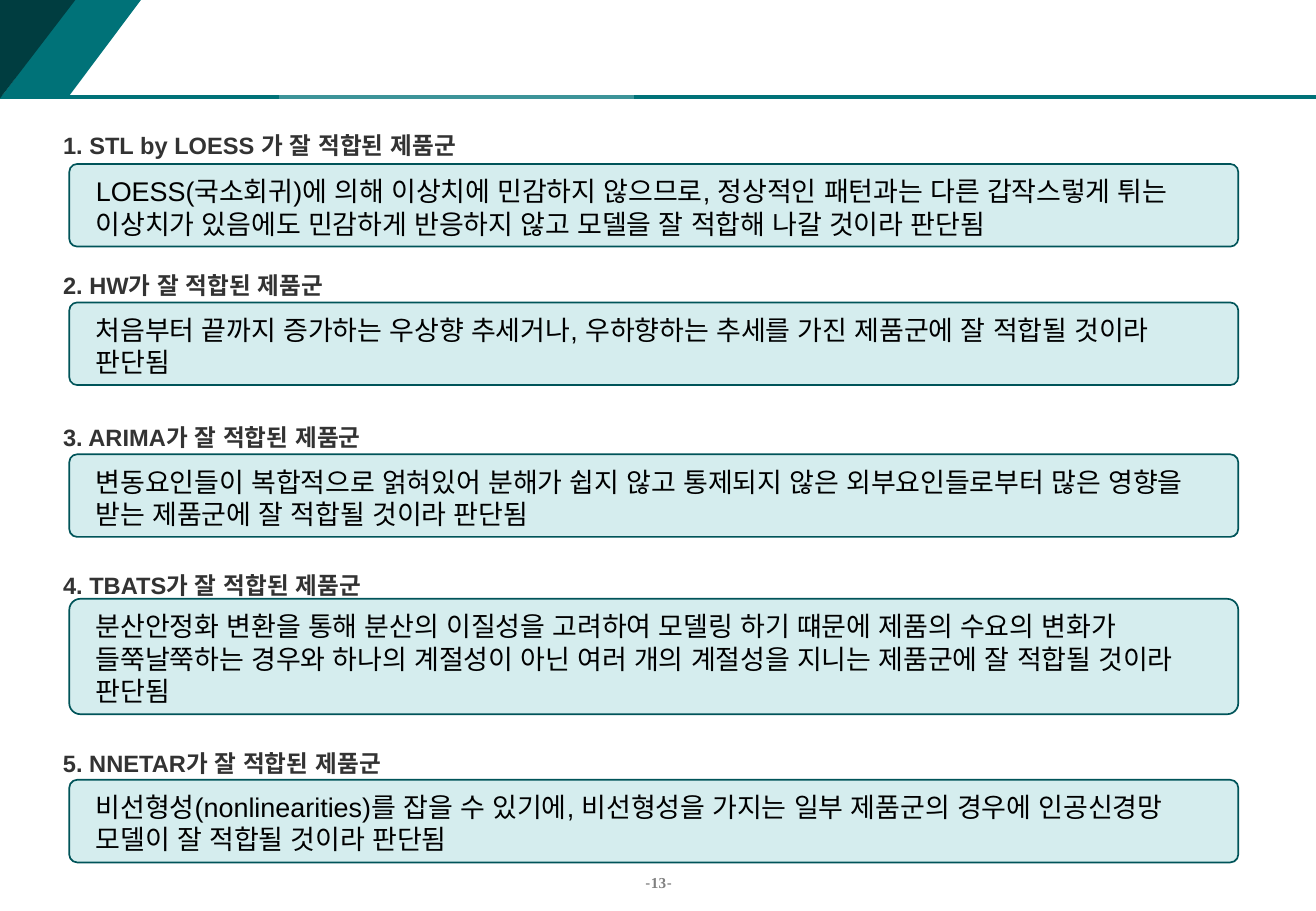
import pptx
import pptx.dml.color
import pptx.enum.lang
import pptx.enum.shapes
import pptx.enum.text
import pptx.oxml
import pptx.oxml.ns
import pptx.util
from pptx.util import Inches

SHAPES = pptx.enum.shapes.MSO_SHAPE
ALIGN = pptx.enum.text.PP_ALIGN


def color(hex_value):
    return pptx.dml.color.RGBColor.from_string(hex_value)


def add_text(left, top, width, height, runs, wrap=False, margins=(0.1, 0.05), align=ALIGN.LEFT):
    """Each run is (text, size, font, color, bold, letter spacing in points)."""
    box = slide.shapes.add_textbox(Inches(left), Inches(top), Inches(width), Inches(height))
    frame = box.text_frame
    frame.word_wrap = wrap
    frame.auto_size = pptx.enum.text.MSO_AUTO_SIZE.SHAPE_TO_FIT_TEXT
    frame.margin_left = frame.margin_right = Inches(margins[0])
    frame.margin_top = frame.margin_bottom = Inches(margins[1])
    paragraph = frame.paragraphs[0]
    paragraph.alignment = align
    for text, size, font, hex_value, bold, spacing in runs:
        run = paragraph.add_run()
        run.text = text
        run.font.size = pptx.util.Pt(size)
        run.font.name = font
        run.font.bold = bold
        run.font.color.rgb = color(hex_value)
        run.font.language_id = pptx.enum.lang.MSO_LANGUAGE_ID.KOREAN
        properties = run._r.get_or_add_rPr()
        properties.set("spc", str(int(spacing * 100)))
        # Korean characters take the East Asian typeface
        east_asian = pptx.oxml.parse_xml(
            f'<a:ea {pptx.oxml.ns.nsdecls("a")} typeface="{font}"/>')
        properties.find(pptx.oxml.ns.qn("a:latin")).addnext(east_asian)


presentation = pptx.Presentation()
presentation.slide_width = Inches(10.83)
presentation.slide_height = Inches(7.5)
slide = presentation.slides.add_slide(presentation.slide_layouts[6])

# Header: teal band, two-tone rule, dark corner
band = slide.shapes.add_shape(SHAPES.PARALLELOGRAM, 0, 0, Inches(1.16), Inches(0.81))
band.adjustments[0] = 0.748

for start, end, hex_value in [(0, 10.83, "007278"), (2.3, 5.22, "3D9499")]:
    rule = slide.shapes.add_connector(
        pptx.enum.shapes.MSO_CONNECTOR.STRAIGHT,
        Inches(start), Inches(0.8), Inches(end), Inches(0.8))
    rule.line.color.rgb = color(hex_value)
    rule.line.width = pptx.util.Pt(2.25)
    rule._element.spPr.append(
        pptx.oxml.parse_xml(f'<a:effectLst {pptx.oxml.ns.nsdecls("a")}/>'))

corner = slide.shapes.add_shape(SHAPES.RIGHT_TRIANGLE, 0, 0, Inches(0.62), Inches(0.81))
corner._element.spPr.xfrm.set("flipV", "1")

for shape, hex_value in [(band, "007278"), (corner, "003D40")]:
    shape.shadow.inherit = False
    shape.fill.solid()
    shape.fill.fore_color.rgb = color(hex_value)
    shape.line.fill.background()

# Page number
add_text(5.29, 7.19, 0.26, 0.15, [
    ("- ", 8.5, "Noto Sans CJK KR", "595959", False, -1.5),
    ("13", 9, "Times New Roman", "808080", True, 0),
    (" -", 8.5, "Noto Sans CJK KR", "595959", False, -1.5),
], margins=(0, 0), align=ALIGN.CENTER)

# Sections: model, heading top, heading width, panel top, lines of text, text
sections = [
    ("STL by LOESS ", 1.03, 3.58, 1.35, 2,
     "LOESS(국소회귀)에 의해 이상치에 민감하지 않으므로, 정상적인 패턴과는 다른 갑작스렇게 튀는 "
     "이상치가 있음에도 민감하게 반응하지 않고 모델을 잘 적합해 나갈 것이라 판단됨"),
    ("HW", 2.18, 2.52, 2.49, 2,
     "처음부터 끝까지 증가하는 우상향 추세거나, 우하향하는 추세를 가진 제품군에 잘 적합될 것이라 판단됨"),
    ("ARIMA", 3.43, 2.79, 3.74, 2,
     "변동요인들이 복합적으로 얽혀있어 분해가 쉽지 않고 통제되지 않은 외부요인들로부터 많은 영향을 "
     "받는 제품군에 잘 적합될 것이라 판단됨"),
    ("TBATS", 4.65, 2.81, 4.93, 3,
     "분산안정화 변환을 통해 분산의 이질성을 고려하여 모델링 하기 떄문에 제품의 수요의 변화가 "
     "들쭉날쭉하는 경우와 하나의 계절성이 아닌 여러 개의 계절성을 지니는 제품군에 잘 적합될 것이라 판단됨"),
    ("NNETAR", 6.12, 2.96, 6.42, 2,
     "비선형성(nonlinearities)를 잡을 수 있기에, 비선형성을 가지는 일부 제품군의 경우에 인공신경망 "
     "모델이 잘 적합될 것이라 판단됨"),
]
for number, (model, heading_top, heading_width, panel_top, lines, text) in enumerate(sections, 1):
    text_height = 0.1 + 0.27 * lines
    panel = slide.shapes.add_shape(
        SHAPES.ROUNDED_RECTANGLE,
        Inches(0.57), Inches(panel_top), Inches(9.62), Inches(text_height + 0.04))
    panel.adjustments[0] = 0.096
    panel.shadow.inherit = False
    panel.fill.solid()
    panel.fill.fore_color.rgb = color("D5EDEE")
    panel.line.color.rgb = color("005459")
    panel.line.width = pptx.util.Pt(1)

    heading = f"{number}. {model}가 잘 적합된 제품군"
    add_text(0.42, heading_top, heading_width, 0.34,
             [(heading, 14, "Arial", "333333", True, 0)])
    add_text(0.69, panel_top + 0.04, 9.41, text_height,
             [(text, 16, "Arial", "000000", False, 0)], wrap=True)

presentation.save("out.pptx")
